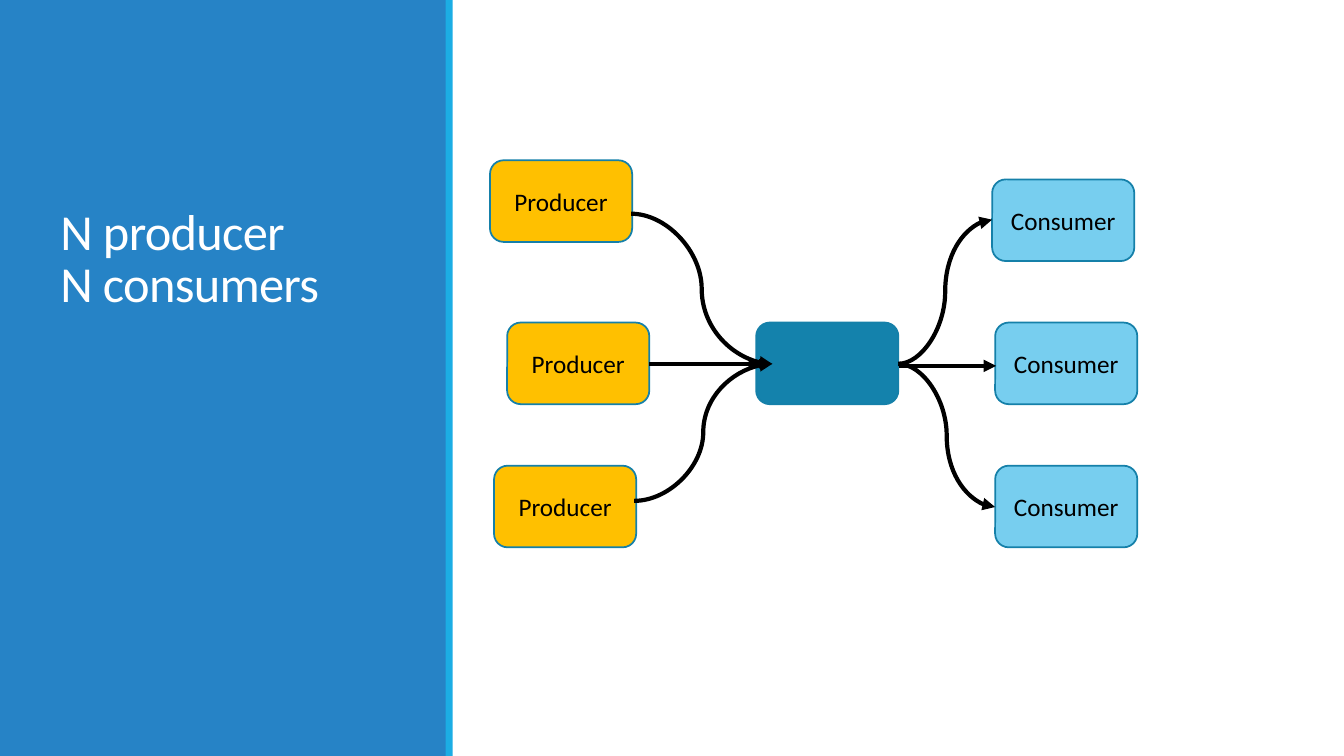
import pptx
import pptx.util
import pptx.dml.color
import pptx.enum.shapes
import pptx.enum.text
import pptx.oxml.ns
import lxml.etree

Inches = pptx.util.Inches
Pt = pptx.util.Pt
SHAPE = pptx.enum.shapes.MSO_SHAPE
CONNECTOR = pptx.enum.shapes.MSO_CONNECTOR
ANCHOR = pptx.enum.text.MSO_ANCHOR
ALIGN = pptx.enum.text.PP_ALIGN

COLORS = {
    "panel": "2683C6", "stripe": "1CADE4", "outline": "1580A9",
    "producer": "FFC000", "queue": "1482AC", "consumer": "77CEEF",
    "white": "FFFFFF", "black": "000000",
}
TITLE = "N producer\vN consumers"
TITLE_AREA = (0.5, 0.65, 3.5, 2.5)
PANELS = [("panel", (0, 0, 4.43, 7.5)), ("stripe", (4.42, 0, 0.07, 7.5))]
BOX_SIZE = (1.41, 0.81)
BOXES = [
    ("producer", "Producer", [(4.86, 1.59), (5.03, 3.2), (4.9, 4.62)]),
    ("queue", "", [(7.5, 3.2)]),
    ("consumer", "Consumer", [(9.84, 1.78), (9.87, 3.2), (9.87, 4.62)]),
]
ARROWS = [
    ((8.91, 3.61), (9.84, 2.18)),
    ((8.91, 3.61), (9.87, 5.03)),
    ((8.92, 3.63), (9.88, 3.63)),
    ((6.26, 2.12), (7.66, 3.61)),
    ((6.29, 4.97), (7.66, 3.61)),
    ((6.44, 3.61), (7.55, 3.61)),
]


def color(name):
    return pptx.dml.color.RGBColor.from_string(COLORS[name])


def apply(target, values):
    for name, value in values.items():
        setattr(target, name, value)


def format_runs(para, size, color_name):
    for run in para.runs:
        apply(run.font, {"name": "Calibri", "size": Pt(size)})
        run.font.color.rgb = color(color_name)


def add_block(page, kind, area, fill):
    block = page.shapes.add_shape(kind, *map(Inches, area))
    block.shadow.inherit = False
    block.fill.solid()
    block.fill.fore_color.rgb = color(fill)
    return block


def add_box(page, position, fill, label):
    box = add_block(page, SHAPE.ROUNDED_RECTANGLE, position + BOX_SIZE, fill)
    box.line.color.rgb = color("outline")
    box.line.width = Pt(1.25)
    if label:
        box.text_frame.vertical_anchor = ANCHOR.MIDDLE
        para = box.text_frame.paragraphs[0]
        apply(para, {"text": label, "alignment": ALIGN.CENTER})
        format_runs(para, 18, "black")


def add_arrow(page, start, end):
    kind = CONNECTOR.STRAIGHT if start[1] == end[1] else CONNECTOR.CURVE
    arrow = page.shapes.add_connector(kind, *map(Inches, start + end))
    arrow.line.color.rgb = color("black")
    arrow.line.width = Pt(3)
    qn = pptx.oxml.ns.qn
    properties = arrow.element.find(qn("p:spPr"))
    outline = properties.find(qn("a:ln"))
    lxml.etree.SubElement(outline, qn("a:tailEnd"), type="triangle")
    lxml.etree.SubElement(properties, qn("a:effectLst"))


def format_title(title):
    areas = map(Inches, TITLE_AREA)
    apply(title, dict(zip(("left", "top", "width", "height"), areas)))
    apply(title.text_frame, {
        "vertical_anchor": ANCHOR.BOTTOM, "word_wrap": True,
        "auto_size": pptx.enum.text.MSO_AUTO_SIZE.NONE,
    })
    para = title.text_frame.paragraphs[0]
    apply(para, {"text": TITLE, "alignment": ALIGN.LEFT, "line_spacing": 0.85})
    format_runs(para, 36, "white")
    for properties in title.element.iter(pptx.oxml.ns.qn("a:rPr")):
        properties.set("spc", "-50")


def main():
    deck = pptx.Presentation()
    apply(deck, {"slide_width": Inches(13.33), "slide_height": Inches(7.5)})
    page = deck.slides.add_slide(deck.slide_layouts[5])
    title = page.shapes.title
    for fill, area in PANELS:
        add_block(page, SHAPE.RECTANGLE, area, fill).line.fill.background()
    title.element.getparent().append(title.element)
    format_title(title)
    for fill, label, positions in BOXES:
        for position in positions:
            add_box(page, position, fill, label)
    for start, end in ARROWS:
        add_arrow(page, start, end)
    deck.save("out.pptx")


if __name__ == "__main__":
    main()
